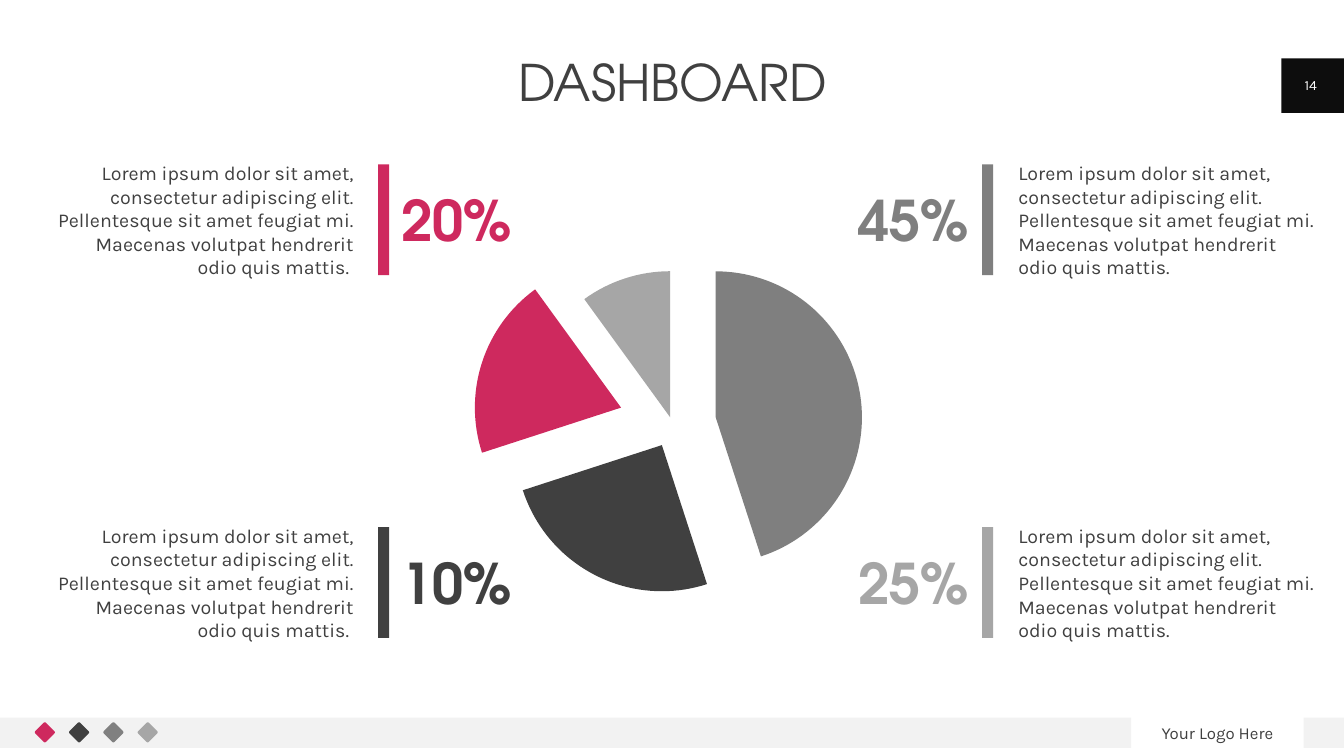
from lxml import etree
from pptx import Presentation
from pptx.chart.data import CategoryChartData as PieData
from pptx.dml.color import RGBColor
from pptx.enum.chart import XL_CHART_TYPE as Chart
from pptx.enum.shapes import MSO_SHAPE as Shape
from pptx.enum.text import MSO_ANCHOR as Anchor, PP_ALIGN as Align
from pptx.oxml import parse_xml
from pptx.oxml.ns import qn
from pptx.util import Inches, Pt

PINK, DARK, GREY, PALE = "CE295E", "404040", "7F7F7F", "A6A6A6"
LOREM = ("Lorem ipsum dolor sit amet, consectetur adipiscing elit. "
         "Pellentesque sit amet feugiat mi. Maecenas volutpat hendrerit odio quis mattis.")
LAYOUT = ('<c:layout xmlns:c="http://schemas.openxmlformats.org/drawingml/2006/chart">'
          '<c:manualLayout><c:layoutTarget val="inner"/><c:xMode val="edge"/>'
          '<c:yMode val="edge"/><c:x val="{:.3f}"/><c:y val="{:.3f}"/>'
          '<c:w val="{:.3f}"/><c:h val="{:.3f}"/></c:manualLayout></c:layout>')


def color(code):
    return RGBColor.from_string(code)


class Deck:
    body = "Karla"
    head = "TeX Gyre Adventor"

    def __init__(self, slide):
        self.slide = slide

    def block(self, box, fill, kind=Shape.RECTANGLE):
        shape = self.slide.shapes.add_shape(kind, *map(Inches, box))
        shape.shadow.inherit = False
        shape.fill.solid()
        shape.fill.fore_color.rgb = color(fill)
        shape.line.fill.background()
        return shape

    def gem(self, left, fill):
        gem = self.block((left, 7.19, 0.15, 0.15), fill, Shape.ROUNDED_RECTANGLE)
        gem.adjustments[0] = 0.11
        gem.rotation = 315

    def text(self, box, words, size, ink=DARK, align=Align.LEFT, font=body,
             bold=False, anchor=Anchor.MIDDLE, space=1.0):
        frame = self.slide.shapes.add_textbox(*map(Inches, box)).text_frame
        frame.word_wrap = True
        frame.vertical_anchor = anchor
        frame.margin_left = frame.margin_right = 0
        frame.margin_top = frame.margin_bottom = 0
        frame.text = words
        line = frame.paragraphs[0]
        line.alignment = align
        line.line_spacing = space
        style = line.runs[0].font
        style.name, style.size, style.bold = font, Pt(size), bold
        style.color.rgb = color(ink)

    def pie(self, box, slices, width):
        data = PieData()
        data.categories = [str(n + 1) for n in range(len(slices))]
        data.add_series("Series 1", [value for value, _, _ in slices])
        chart = self.slide.shapes.add_chart(Chart.PIE, *map(Inches, box), data).chart
        chart.has_legend = chart.has_title = False
        chart.font.name, chart.font.size = self.body, Pt(10)
        chart.font.color.rgb = color("000000")
        plot = chart.plots[0]
        plot.vary_by_categories = True
        series = plot.series[0]
        for n, (_, fill, pull) in enumerate(slices):
            look = series.points[n].format
            look.fill.solid()
            look.fill.fore_color.rgb = color(fill)
            look.line.fill.background()
            burst = etree.Element(qn("c:explosion"), val=str(pull))
            series._element.findall(qn("c:dPt"))[n].insert(1, burst)
        area = chart._chartSpace.chart.plotArea
        for old in area.findall(qn("c:layout")):
            area.remove(old)
        wide, high = width / box[2], width / box[3]
        area.insert(0, parse_xml(LAYOUT.format((1 - wide) / 2, (1 - high) / 2, wide, high)))

    def stat(self, top, value, ink, left):
        if left:
            bar, note, rate, side, rest = 3.75, 0.56, 3.98, Align.LEFT, Align.RIGHT
        else:
            bar, note, rate, side, rest = 9.74, 10.1, 7.53, Align.RIGHT, Align.LEFT
        self.block((bar, top, 0.11, 1.1), ink)
        words = LOREM + " " if left else LOREM
        self.text((note, top - 0.04, 2.95, 1.18), words, 14, align=rest)
        self.text((rate, top + 0.21, 2.08, 0.67), value, 40, ink, side,
                  self.head, True)


def main():
    show = Presentation()
    show.slide_width, show.slide_height = Inches(13.33), Inches(7.5)
    deck = Deck(show.slides.add_slide(show.slide_layouts[6]))

    for left, width in ((0, 11.22), (12.93, 0.4)):
        deck.block((left, 7.12, width, 0.3), "F2F2F2")
    deck.block((12.71, 0.58, 0.62, 0.54), "0D0D0D")
    for n, fill in enumerate((PINK, DARK, "808080", PALE)):
        deck.gem(0.37 + n * 0.34, fill)

    deck.text((0.92, 0.58, 11.5, 0.55), "DASHBOARD", 36, align=Align.CENTER,
              font=deck.head, anchor=Anchor.TOP, space=0.9)
    deck.text((11.22, 7.12, 1.71, 0.3), "Your Logo Here", 12, align=Align.CENTER)
    deck.text((12.77, 0.64, 0.46, 0.4), "14", 10, "FFFFFF", Align.CENTER)

    deck.pie((3.49, 2.09, 6.36, 4.24),
             [(45, GREY, 30), (25, DARK, 16), (20, PINK, 37), (10, PALE, 5)], 2.9)
    for top, value, ink, left in ((1.63, "45%", GREY, False),
                                  (5.23, "25%", PALE, False),
                                  (1.63, "20%", PINK, True),
                                  (5.23, "10%", DARK, True)):
        deck.stat(top, value, ink, left)

    show.save("out.pptx")


if __name__ == "__main__":
    main()
